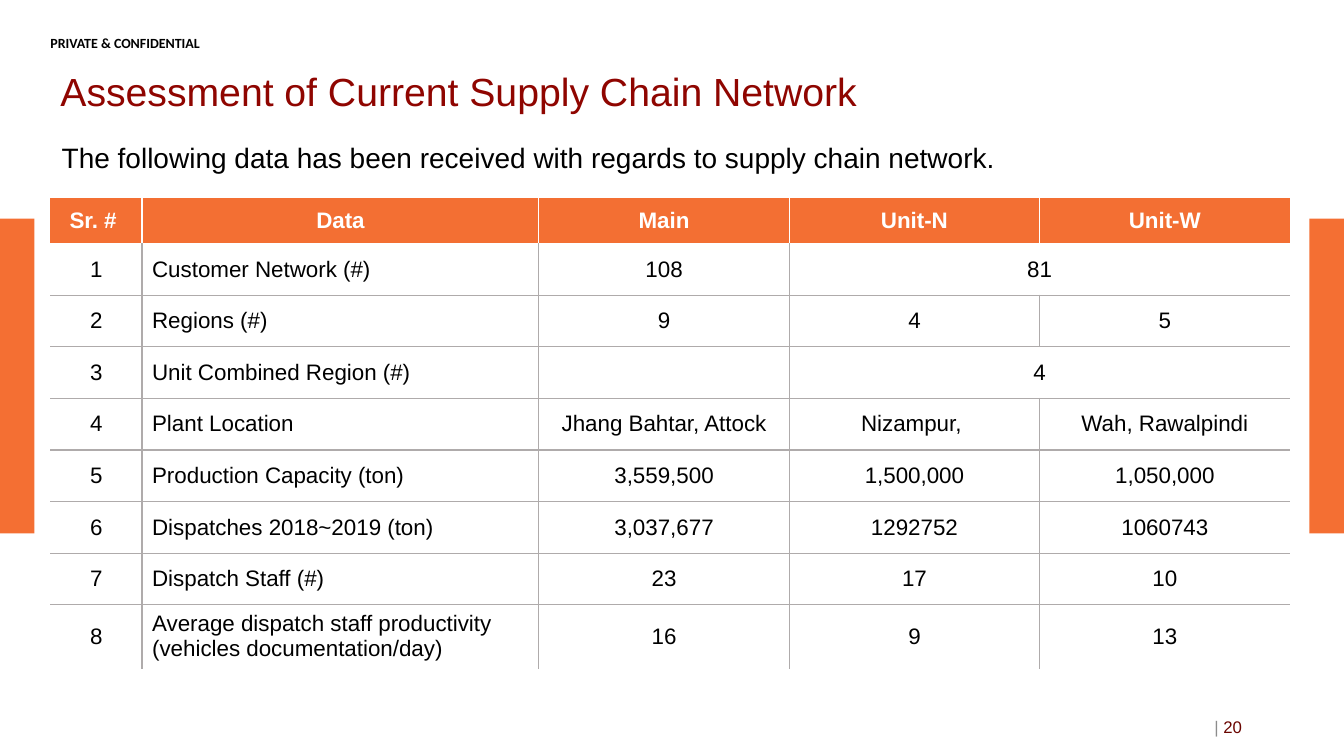
"""Build the supply chain network assessment slide."""
import dataclasses
import typing

import lxml.etree
import pptx
import pptx.dml.color
import pptx.enum.shapes
import pptx.enum.text
import pptx.oxml.ns
import pptx.util

Cm = pptx.util.Cm
Pt = pptx.util.Pt
Align = pptx.enum.text.PP_ALIGN
Anchor = pptx.enum.text.MSO_ANCHOR
qn = pptx.oxml.ns.qn


@dataclasses.dataclass(frozen=True)
class Theme:
    font: str = "Arial"
    label_font: str = "Calibri"
    accent: str = "F46F33"
    header: str = "F36F33"
    title: str = "8F0500"
    text: str = "000000"
    inverse: str = "FFFFFF"
    grid: str = "AFABAB"
    separator: str = "8C8C8C"
    page: str = "6A0500"
    title_size: int = 28
    body_size: int = 20
    table_size: int = 16
    page_size: int = 12
    label_size: int = 10


class Box(typing.NamedTuple):
    left: float
    top: float
    width: float
    height: float


class Run(typing.NamedTuple):
    text: str
    size: int
    color: str
    bold: bool = False
    font: str = "Arial"


THEME = Theme()
SIDE_BARS = [Box(0, 5.51, 0.87, 7.93), Box(33, 5.51, 0.87, 7.93)]
TITLE_BOX = Box(1.27, 1.47, 27.6, 1.8)
BODY_BOX = Box(1.3, 3.5, 31.27, 2)
TABLE_BOX = Box(1.27, 5, 31.24, 11.75)
LABEL_BOX = Box(1.27, 0.86, 6.43, 0.3)
PAGE_BOX = Box(23.93, 17.81, 7.62, 1.02)
COLUMN_WIDTHS = [2.31, 10, 6.31, 6.31, 6.31]
ROW_HEIGHTS = [1.14] + [1.3] * 7 + [1.51]
TEXT_COLUMN = 1
ROWS: list[list[str | None]] = [
    ["Sr. # ", "Data", "Main", "Unit-N", "Unit-W"],
    ["1", "Customer Network (#)", "108", "81", None],
    ["2", "Regions (#)", "9", "4", "5"],
    ["3", "Unit Combined Region (#)", "", "4", None],
    ["4", "Plant Location", "Jhang Bahtar, Attock", "Nizampur, ", "Wah, Rawalpindi"],
    ["5", "Production Capacity (ton)", "3,559,500", "1,500,000", "1,050,000"],
    ["6", "Dispatches 2018~2019 (ton)", "3,037,677", "1292752", "1060743"],
    ["7", "Dispatch Staff (#)", "23", "17", "10"],
    ["8", "Average dispatch staff productivity (vehicles documentation/day)", "16", "9", "13"],
]
NO_MARGINS = dict.fromkeys(("margin_left", "margin_top", "margin_right", "margin_bottom"), 0)


def apply_format(target: typing.Any, values: dict[str, typing.Any]) -> None:
    for name, value in values.items():
        setattr(target, name, value)


def place(box: Box) -> dict[str, int]:
    return {name: Cm(value) for name, value in box._asdict().items()}


def write(text_frame: typing.Any, runs: list[Run], frame_format: dict[str, typing.Any],
          paragraph_format: dict[str, typing.Any]) -> typing.Any:
    apply_format(text_frame, frame_format)
    paragraph = text_frame.paragraphs[0]
    apply_format(paragraph, paragraph_format)
    for item in runs:
        run = paragraph.add_run()
        run.text = item.text
        apply_format(run.font, {"name": item.font, "size": Pt(item.size), "bold": item.bold})
        run.font.color.rgb = pptx.dml.color.RGBColor.from_string(item.color)
    return paragraph


def fill_placeholder(shape: typing.Any, box: Box, run: Run, anchor: Anchor, space: int) -> None:
    apply_format(shape, place(box))
    paragraph = write(
        shape.text_frame, [run],
        {"vertical_anchor": anchor, "word_wrap": True,
         "auto_size": pptx.enum.text.MSO_AUTO_SIZE.NONE},
        {"alignment": Align.LEFT, "line_spacing": 0.9, "space_before": Pt(space)})
    properties = paragraph._p.get_or_add_pPr()
    apply_indent = {"marL": "0", "indent": "0"}
    for name, value in apply_indent.items():
        properties.set(name, value)
    lxml.etree.SubElement(properties, qn("a:buNone"))


def add_text(slide: typing.Any, box: Box, runs: list[Run], alignment: Align,
             frame_format: dict[str, typing.Any]) -> None:
    shape = slide.shapes.add_textbox(**place(box))
    write(shape.text_frame, runs, {"word_wrap": True, **frame_format}, {"alignment": alignment})


def add_side_bar(slide: typing.Any, box: Box) -> None:
    shape = slide.shapes.add_shape(pptx.enum.shapes.MSO_SHAPE.RECTANGLE, **place(box))
    shape.shadow.inherit = False
    shape.fill.solid()
    shape.fill.fore_color.rgb = pptx.dml.color.RGBColor.from_string(THEME.accent)
    shape.line.fill.background()


def set_borders(cell: typing.Any, colors: dict[str, str | None]) -> None:
    properties = cell._tc.get_or_add_tcPr()
    for position, (side, color) in enumerate(colors.items()):
        line = lxml.etree.Element(qn(f"a:ln{side}"), w=str(Pt(1)))
        if color:
            fill = lxml.etree.SubElement(line, qn("a:solidFill"))
            lxml.etree.SubElement(fill, qn("a:srgbClr"), val=color)
        else:
            lxml.etree.SubElement(line, qn("a:noFill"))
        properties.insert(position, line)


def border_colors(row: int, column: int) -> dict[str, str | None]:
    values = ROWS[row]
    side = THEME.grid if row else THEME.inverse
    last_column = len(values) - 1
    return {
        "L": side if column and values[column] is not None else None,
        "R": side if column < last_column and values[column + 1] is not None else None,
        "T": (THEME.grid if row > 1 else THEME.inverse) if row else None,
        "B": side if row < len(ROWS) - 1 else None,
    }


def add_data_table(slide: typing.Any) -> None:
    table = slide.shapes.add_table(len(ROWS), len(COLUMN_WIDTHS), **place(TABLE_BOX)).table
    apply_format(table, {"first_row": False, "horz_banding": False})
    for column, width in zip(table.columns, COLUMN_WIDTHS):
        column.width = Cm(width)
    for row, height in zip(table.rows, ROW_HEIGHTS):
        row.height = Cm(height)
    for row, values in enumerate(ROWS):
        is_header = row == 0
        color = THEME.inverse if is_header else THEME.text
        for column, value in enumerate(values):
            cell = table.cell(row, column)
            cell.vertical_anchor = Anchor.MIDDLE
            if is_header:
                cell.fill.solid()
                cell.fill.fore_color.rgb = pptx.dml.color.RGBColor.from_string(THEME.header)
            else:
                cell.fill.background()
            set_borders(cell, border_colors(row, column))
            if value is None:
                table.cell(row, column - 1).merge(cell)
                continue
            is_text = column == TEXT_COLUMN and not is_header
            runs = [Run(value, THEME.table_size, color, is_header, THEME.font)] if value else []
            write(cell.text_frame, runs, {},
                  {"alignment": Align.LEFT if is_text else Align.CENTER})


def main() -> None:
    presentation = pptx.Presentation()
    apply_format(presentation, {"slide_width": Cm(33.87), "slide_height": Cm(19.05)})
    slide = presentation.slides.add_slide(presentation.slide_layouts[1])
    for bar in SIDE_BARS:
        add_side_bar(slide, bar)
    add_text(slide, LABEL_BOX,
             [Run("PRIVATE & CONFIDENTIAL", THEME.label_size, THEME.text, True, THEME.label_font)],
             Align.LEFT, NO_MARGINS)
    fill_placeholder(slide.shapes.title, TITLE_BOX,
                     Run("Assessment of Current Supply Chain Network", THEME.title_size, THEME.title),
                     Anchor.MIDDLE, 0)
    fill_placeholder(slide.placeholders[1], BODY_BOX,
                     Run("The following data has been received with regards to supply chain network.",
                         THEME.body_size, THEME.text),
                     Anchor.TOP, 10)
    add_data_table(slide)
    add_text(slide, PAGE_BOX,
             [Run("| ", THEME.page_size, THEME.separator), Run("20", THEME.page_size, THEME.page)],
             Align.RIGHT, {"vertical_anchor": Anchor.MIDDLE})
    presentation.save("out.pptx")


main()
